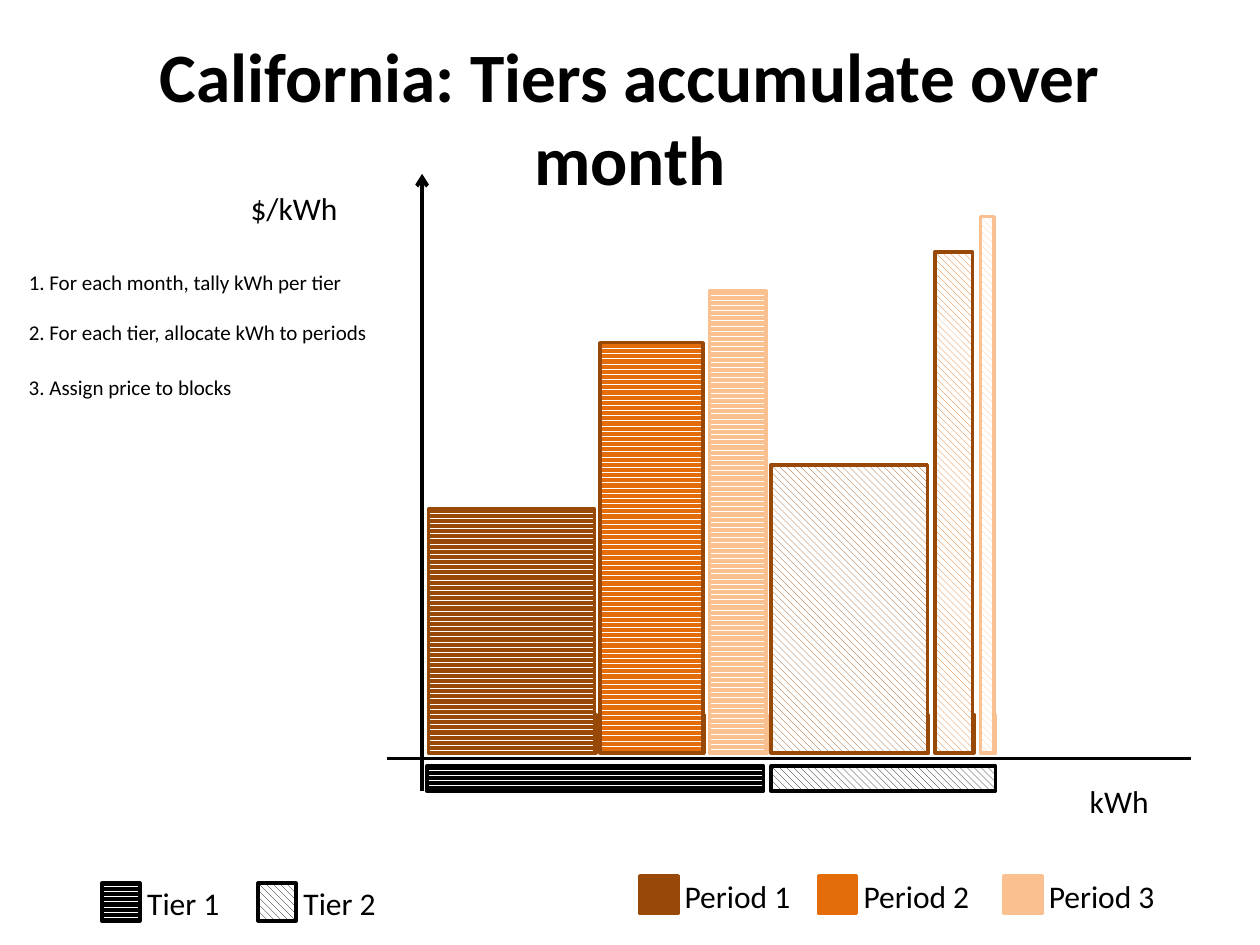
from pptx import Presentation
from pptx import util as u
from pptx.dml.color import RGBColor
from pptx.enum import dml, shapes, text
from pptx.oxml.ns import qn
from lxml import etree

COLS, ROWS = 100, 75
THEME = {
    "font": "Calibri", "title": 39.6, "label": 18, "step": 12,
    "ink": "000000", "paper": "FFFFFF", "border": 2, "axis": 2.25,
    "periods": ["984807", "E46C0A", "FAC090"],
    "edges": ["984807", "984807", "FAC090"],
}
PATTERNS = [dml.MSO_PATTERN.DARK_HORIZONTAL,
            dml.MSO_PATTERN.WIDE_DOWNWARD_DIAGONAL]

TITLE = "California: Tiers accumulate over month"
STEPS = [("1. For each month, tally kWh per tier", 20.9, 27.1),
         ("2. For each tier, allocate kWh to periods", 24.9, 29.2),
         ("3. Assign price to blocks", 29.2, 18.3)]
TIERS = [
    {"name": "Tier 1", "key": 8.1, "span": (33.9, 26.7),
     "blocks": [(34, 13.2, 40.4), (47.6, 8.2, 27.2), (56.3, 4.5, 23.1)]},
    {"name": "Tier 2", "key": 20.5, "span": (61.2, 17.8),
     "blocks": [(61.2, 12.4, 36.9), (74.2, 3, 20), (77.8, 1.1, 17.2)]},
]
PERIODS = [("Period 1", 50.8), ("Period 2", 65), ("Period 3", 79.7)]
AXIS_LABELS = [("$/kWh", 18.9, 14.5, 15), ("kWh", 85.5, 61.6, 11.2)]
BASE, LOW_TOP, STRIP_TOP = 59.75, 56.7, 60.8
STRIP, KEY, LABEL_GAP = 2, 3, 2.55

prs = Presentation()
prs.slide_width, prs.slide_height = u.Inches(10), u.Inches(7.5)
s = prs.slides.add_slide(prs.slide_layouts[6])


def grid(x, y):
    return int(prs.slide_width * x / COLS), int(prs.slide_height * y / ROWS)


def rgb(value):
    return RGBColor.from_string(value)


def add_text(content, x, y, w, h, size=THEME["label"], bold=False,
             align=text.PP_ALIGN.LEFT, anchor=text.MSO_ANCHOR.TOP, wrap=False):
    tf = s.shapes.add_textbox(*grid(x, y), *grid(w, h)).text_frame
    tf.word_wrap = wrap
    tf.auto_size = (text.MSO_AUTO_SIZE.NONE if wrap
                    else text.MSO_AUTO_SIZE.SHAPE_TO_FIT_TEXT)
    tf.vertical_anchor = anchor
    p = tf.paragraphs[0]
    p.alignment = align
    r = p.add_run()
    r.text = content
    r.font.name, r.font.size, r.font.bold = THEME["font"], u.Pt(size), bold
    r.font.color.rgb = rgb(THEME["ink"])


def add_block(x, y, w, h, color, edge, pattern=None):
    sp = s.shapes.add_shape(shapes.MSO_SHAPE.RECTANGLE, *grid(x, y), *grid(w, h))
    sp.shadow.inherit = False
    if pattern is None:
        sp.fill.solid()
    else:
        sp.fill.patterned()
        sp.fill.pattern = pattern
        sp.fill.back_color.rgb = rgb(THEME["paper"])
    sp.fill.fore_color.rgb = rgb(color)
    sp.line.color.rgb = rgb(edge)
    sp.line.width = u.Pt(THEME["border"])


def add_axis(start, end, width, arrow=False):
    line = s.shapes.add_connector(shapes.MSO_CONNECTOR.STRAIGHT,
                                  *grid(*start), *grid(*end))
    line.line.color.rgb = rgb(THEME["ink"])
    line.line.width = u.Pt(width)
    if arrow:
        etree.SubElement(line.line._get_or_add_ln(), qn("a:tailEnd"), type="arrow")
    etree.SubElement(line._element.spPr, qn("a:effectLst"))


def add_blocks(low):
    for tier, pattern in zip(TIERS, PATTERNS):
        for (x, w, top), color, edge in zip(tier["blocks"], THEME["periods"],
                                            THEME["edges"]):
            y = LOW_TOP if low else top
            shift = 0.1 if low else 0
            add_block(x + shift, y, w, BASE - y, color, edge, pattern)


add_blocks(low=True)
add_text(TITLE, 5, 3, 90, 12.5, size=THEME["title"], bold=True, wrap=True,
         align=text.PP_ALIGN.CENTER, anchor=text.MSO_ANCHOR.MIDDLE)

ink = THEME["ink"]
for tier, pattern in zip(TIERS, PATTERNS):
    add_block(tier["key"], 70.1, KEY, KEY, ink, ink, pattern)
    add_text(tier["name"], tier["key"] + LABEL_GAP, 69.65, 7.8, 4,
             align=text.PP_ALIGN.CENTER)
for (name, x), color in zip(PERIODS, THEME["periods"]):
    add_block(x, 69.5, KEY, KEY, color, color)
    add_text(name, x + LABEL_GAP, 69.1, 10.5, 4)

add_axis((33.5, 62.8), (33.5, 13.8), THEME["axis"], arrow=True)
add_axis((30.7, 60.2), (94.5, 60.2), THEME["border"])
for name, x, y, w in AXIS_LABELS:
    add_text(name, x, y, w, 5.9)

add_blocks(low=False)
for tier, pattern in zip(TIERS, PATTERNS):
    x, w = tier["span"]
    add_block(x, STRIP_TOP, w, STRIP, ink, ink, pattern)
for step, y, w in STEPS:
    add_text(step, 1.3, y, w, 3, size=THEME["step"])

prs.save("out.pptx")
